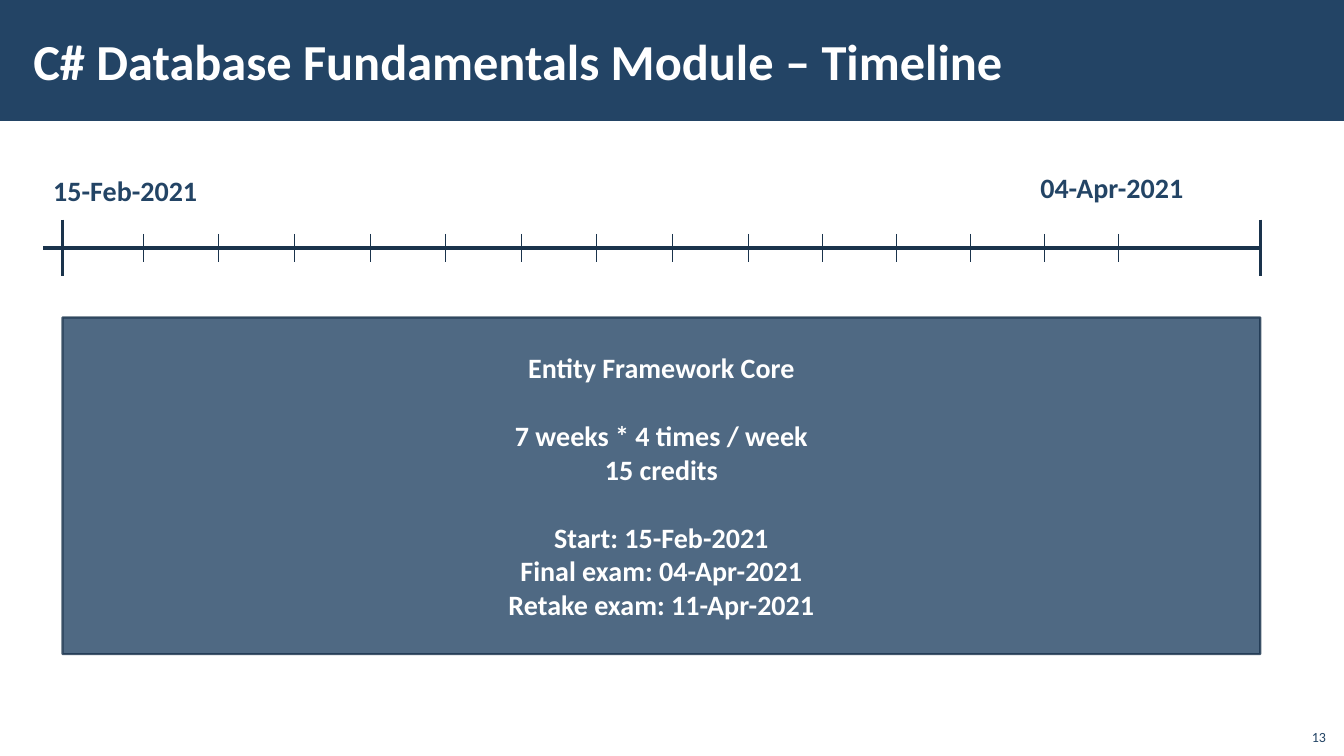
from lxml import etree
from pptx import Presentation
from pptx.dml.color import RGBColor
from pptx.enum.shapes import MSO_CONNECTOR, MSO_SHAPE
from pptx.enum.text import MSO_ANCHOR, MSO_AUTO_SIZE, PP_ALIGN
from pptx.oxml.ns import qn
from pptx.util import Inches, Pt

RECTANGLE, STRAIGHT = MSO_SHAPE.RECTANGLE, MSO_CONNECTOR.STRAIGHT
LEFT, CENTER, RIGHT = PP_ALIGN.LEFT, PP_ALIGN.CENTER, PP_ALIGN.RIGHT
TOP, MIDDLE, BOTTOM = MSO_ANCHOR.TOP, MSO_ANCHOR.MIDDLE, MSO_ANCHOR.BOTTOM
NO_AUTOFIT = MSO_AUTO_SIZE.NONE

TITLE = "C# Database Fundamentals Module – Timeline"
DATES = [  # text, (left, top, width, height)
    ("15-Feb-2021", (0.43, 1.67, 1.64, 0.44)),
    ("04-Apr-2021", (10.22, 1.64, 1.65, 0.44)),
]
COURSE_GROUPS = [
    ["Entity Framework Core"],
    ["7 weeks * 4 times / week", "15 credits"],
    ["Start: 15-Feb-2021", "Final exam: 04-Apr-2021", "Retake exam: 11-Apr-2021"],
]
PAGE_NUMBER = "13"


class Theme:
    navy = RGBColor(0x23, 0x44, 0x65)
    dark = RGBColor(0x1A, 0x33, 0x4C)
    white = RGBColor(0xFF, 0xFF, 0xFF)
    font = "Calibri"
    title_size, body_size, number_size = Pt(36), Pt(20), Pt(10)
    group_gap = Pt(24.4)
    axis_width, outline_width, tick_width = Pt(2.25), Pt(1.5), Pt(0.5)
    opacity = 80


PAGE_WIDTH, PAGE_HEIGHT = 13.33, 7.5
AXIS_LEFT, AXIS_START, AXIS_END, AXIS_Y = 0.43, 0.62, 12.5, 2.46
END_HALF, TICK_HALF = 0.28, 0.14
TICKS = [1.42 + 0.75 * i for i in range(9)] + [7.42 + 0.735 * i for i in range(1, 6)]


def inches(values):
    return [Inches(value) for value in values]


def write(shape, lines, size, color, bold=True, align=LEFT, anchor=TOP, wrap=True):
    """Fill a shape with (text, space before) lines in one style."""
    frame = shape.text_frame
    frame.auto_size = NO_AUTOFIT
    frame.word_wrap = wrap
    frame.vertical_anchor = anchor
    style = {"name": Theme.font, "size": size, "bold": bold}
    for index, (text, gap) in enumerate(lines):
        para = frame.add_paragraph() if index else frame.paragraphs[0]
        para.alignment = align
        if gap:
            para.space_before = gap
        span = para.add_run()
        span.text = text
        for name, value in style.items():
            setattr(span.font, name, value)
        span.font.color.rgb = color


def add_box(page, area, fill):
    box = page.shapes.add_shape(RECTANGLE, *inches(area))
    box.shadow.inherit = False
    box.fill.solid()
    box.fill.fore_color.rgb = fill
    return box


def add_text(page, area, text, size, **layout):
    box = page.shapes.add_textbox(*inches(area))
    write(box, [(text, None)], size, Theme.navy, **layout)


def add_line(page, start, end, width):
    line = page.shapes.add_connector(STRAIGHT, *inches(start + end))
    line.line.color.rgb = Theme.dark
    line.line.width = width
    etree.SubElement(line.element.spPr, qn("a:effectLst"))


def add_tick(page, x, half, width):
    add_line(page, (x, AXIS_Y - half), (x, AXIS_Y + half), width)


def add_title(page):
    band = add_box(page, (0, 0, PAGE_WIDTH, 1.2), Theme.navy)
    band.line.fill.background()
    title = page.shapes.title
    title.element.addprevious(band.element)
    title.left, title.top, title.width, title.height = inches((0.21, 0.11, 10.63, 0.97))
    frame = title.text_frame
    frame.margin_left = frame.margin_right = Inches(0.12)
    frame.margin_top = frame.margin_bottom = Inches(0.04)
    write(title, [(TITLE, None)], Theme.title_size, Theme.white, anchor=MIDDLE)


def add_course(page):
    box = add_box(page, (AXIS_START, 3.15, AXIS_END - AXIS_START, 3.34), Theme.navy)
    box.line.color.rgb = Theme.dark
    box.line.width = Theme.outline_width
    for color in box.element.spPr.iter(qn("a:srgbClr")):
        etree.SubElement(color, qn("a:alpha"), val=str(Theme.opacity * 1000))
    lines = [
        (text, Theme.group_gap if group_index and not line_index else None)
        for group_index, group in enumerate(COURSE_GROUPS)
        for line_index, text in enumerate(group)
    ]
    write(box, lines, Theme.body_size, Theme.white, align=CENTER, anchor=MIDDLE)


def add_timeline(page):
    add_line(page, (AXIS_LEFT, AXIS_Y), (AXIS_END, AXIS_Y), Theme.axis_width)
    for x in (AXIS_START, AXIS_END):
        add_tick(page, x, END_HALF, Theme.axis_width)
    for x in TICKS:
        add_tick(page, x, TICK_HALF, Theme.tick_width)
    for text, area in DATES:
        add_text(page, area, text, Theme.body_size, wrap=False)


def main():
    deck = Presentation()
    deck.slide_width, deck.slide_height = inches((PAGE_WIDTH, PAGE_HEIGHT))
    page = deck.slides.add_slide(deck.slide_layouts[5])
    add_title(page)
    add_course(page)
    add_timeline(page)
    add_text(page, (12.85, 7.12, 0.4, 0.32), PAGE_NUMBER, Theme.number_size,
             bold=False, align=RIGHT, anchor=BOTTOM)
    deck.save("out.pptx")


if __name__ == "__main__":
    main()
